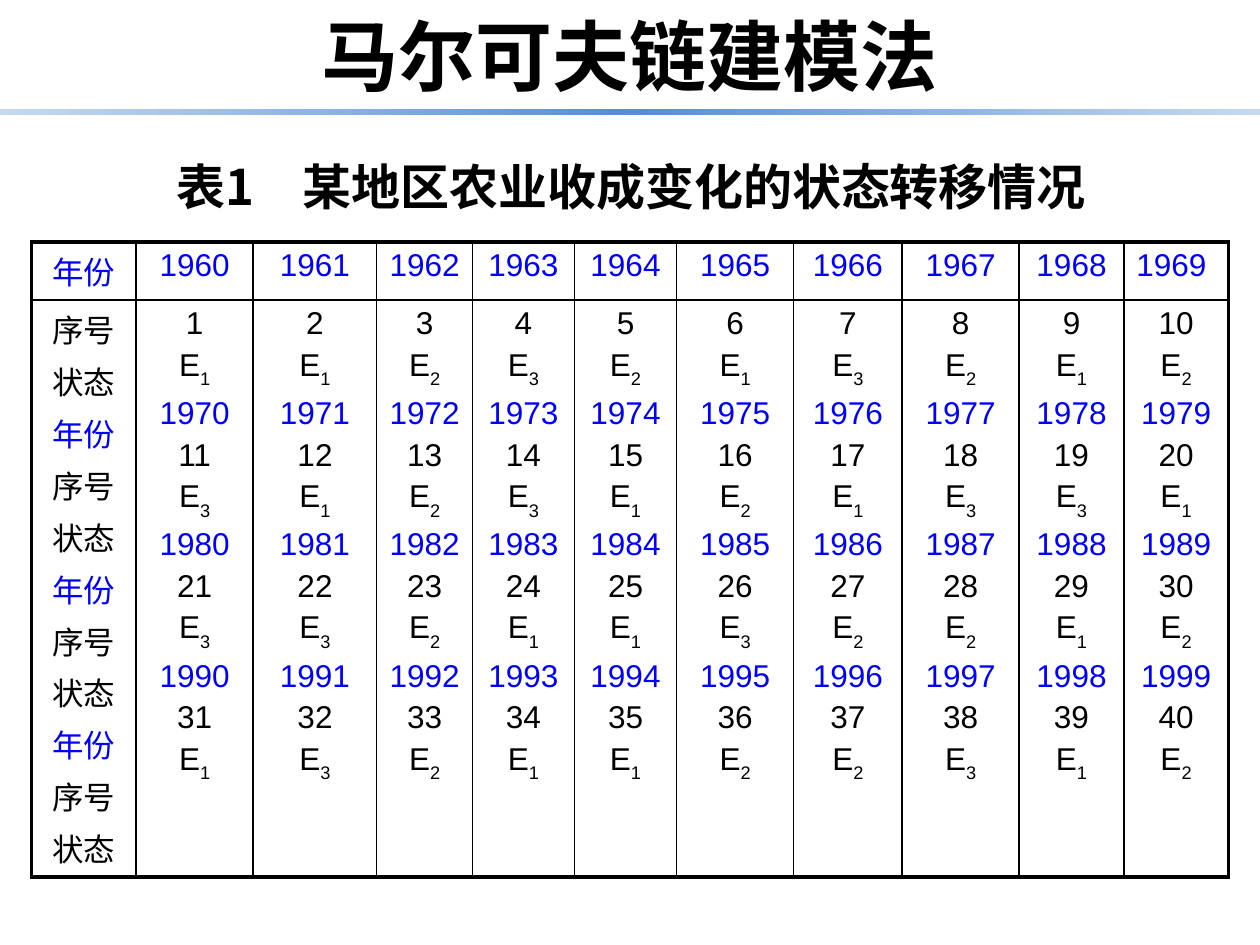
from pptx import Presentation
from pptx.dml.color import RGBColor
from pptx.enum.shapes import MSO_SHAPE as Shape
from pptx.enum.text import MSO_ANCHOR as Anchor, PP_ALIGN as Align
from pptx.oxml.ns import qn
from pptx.util import Inches, Pt
from lxml.etree import SubElement as Sub, Element

BLACK = RGBColor(0, 0, 0)
BLUE = RGBColor(0, 0, 255)
PALE = RGBColor(0xC6, 0xD9, 0xF1)
MID = RGBColor(0x8E, 0xB4, 0xE3)
DEEP = RGBColor(0x55, 0x8E, 0xD5)
WIDE, HIGH = Inches(10), Inches(7.5)
HAN, MONO, LATIN, SERIF = "Noto Sans CJK SC", "Noto Sans Mono", "Arial", "Times New Roman"
COLS = (0.83, 0.93, 0.98, 0.76, 0.81, 0.81, 0.93, 0.86, 0.93, 0.83, 0.83)
ROWS = (0.46, 4.58)
LABELS = ("年份", "序号", "状态")
STATES = ("1123213212", "3123121331", "3321132212", "1321122312")


def share(left, top, wide, high):
    """Turn percentages of the slide into a box."""
    return [int(n / 100) for n in (WIDE * left, HIGH * top, WIDE * wide, HIGH * high)]


def add_run(para, text, size, face, color=BLACK, bold=False, base=0):
    """Add one styled run to a paragraph."""
    run = para.add_run()
    run.text = text
    font = run.font
    font.size, font.name, font.bold = Pt(size), face, bold
    font.color.rgb = color
    props = run._r.get_or_add_rPr()
    Sub(props, qn("a:ea")).set("typeface", HAN)
    if base:
        props.set("baseline", str(base * 1000))


def space(para):
    """Put a fifth of a line above a paragraph."""
    gap = Sub(para._p.get_or_add_pPr(), qn("a:spcBef"))
    Sub(gap, qn("a:spcPct")).set("val", "20000")


def add_text(slide, box):
    """Add a wrapped, centred-in-height text box and give its paragraph."""
    frame = slide.shapes.add_textbox(*box).text_frame
    frame.word_wrap = True
    frame.vertical_anchor = Anchor.MIDDLE
    return frame.paragraphs[0]


def add_title(slide, box):
    """Write the slide title."""
    para = add_text(slide, box)
    para.alignment = Align.CENTER
    add_run(para, "马尔可夫链建模法", 44, MONO, bold=True)


def add_caption(slide, box):
    """Write the caption of the table."""
    para = add_text(slide, box)
    para.line_spacing = 1.1
    space(para)
    add_run(para, "表1　某地区农业收成变化的状态转移情况", 28, HAN, bold=True)


def add_bar(slide, box):
    """Draw the shaded bar below the title."""
    bar = slide.shapes.add_shape(Shape.RECTANGLE, *box)
    bar.shadow.inherit = False
    bar.line.fill.background()
    bar.fill.gradient()
    bar.fill.gradient_angle = 0
    stops = bar._element.spPr.find(qn("a:gradFill")).find(qn("a:gsLst"))
    for stop in list(stops):
        stops.remove(stop)
    for i, color in enumerate((PALE, MID, DEEP, MID, PALE)):
        stop = Sub(stops, qn("a:gs"))
        stop.set("pos", str(i * 25000))
        Sub(stop, qn("a:srgbClr")).set("val", str(color))


def edge(cell, row, col):
    """Rule a cell, with thick lines on the rim of the table."""
    cell.fill.background()
    props = cell._tc.get_or_add_tcPr()
    rims = (("L", col == 0), ("R", col == len(COLS) - 1),
            ("T", row == 0), ("B", row == len(ROWS) - 1))
    for i, (side, rim) in enumerate(rims):
        line = Element(qn("a:ln" + side))
        line.set("w", str(Pt(2.25 if rim else 1)))
        fill = Sub(line, qn("a:solidFill"))
        Sub(fill, qn("a:srgbClr")).set("val", str(BLACK))
        props.insert(i, line)


def entries(col):
    """List the year, number and state lines of a column."""
    lines = []
    for ten, states in enumerate(STATES):
        if col == 0:
            lines += [(label, "") for label in LABELS]
        else:
            step = ten * 10 + col
            lines += [(str(1959 + step), ""), (str(step), ""), ("E", states[col - 1])]
    return lines


def fill_cell(cell, lines, first, face):
    """Write lines into a cell, with every third one blue."""
    frame = cell.text_frame
    for i, (text, sub) in enumerate(lines):
        para = frame.add_paragraph() if i else frame.paragraphs[0]
        para.alignment = Align.CENTER
        space(para)
        add_run(para, text, 18, face, BLACK if (first + i) % 3 else BLUE)
        if sub:
            add_run(para, sub, 18, face, base=-30)


def add_grid(slide, box):
    """Build the table of years, numbers and states."""
    grid = slide.shapes.add_table(len(ROWS), len(COLS), *box).table
    grid.first_row = grid.horz_banding = False
    for row, part in zip(grid.rows, ROWS):
        row.height = int(box[3] * part / sum(ROWS))
    for col, part in enumerate(COLS):
        grid.columns[col].width = int(box[2] * part / sum(COLS))
        lines = entries(col)
        for row, group in enumerate((lines[:1], lines[1:])):
            cell = grid.cell(row, col)
            fill_cell(cell, group, row, LATIN if col else SERIF)
            edge(cell, row, col)
    grid.cell(0, len(COLS) - 1).text_frame.paragraphs[0].alignment = Align.LEFT


def main():
    """Build and save the slide."""
    deck = Presentation()
    deck.slide_width, deck.slide_height = WIDE, HIGH
    slide = deck.slides.add_slide(deck.slide_layouts[6])
    add_caption(slide, share(13, 15.5, 82.3, 7.7))
    add_grid(slide, share(2.5, 25.6, 95, 67.2))
    add_bar(slide, share(0, 11.55, 100, 0.67))
    add_title(slide, share(0, 0.2, 100, 11.2))
    deck.save("out.pptx")


if __name__ == "__main__":
    main()
